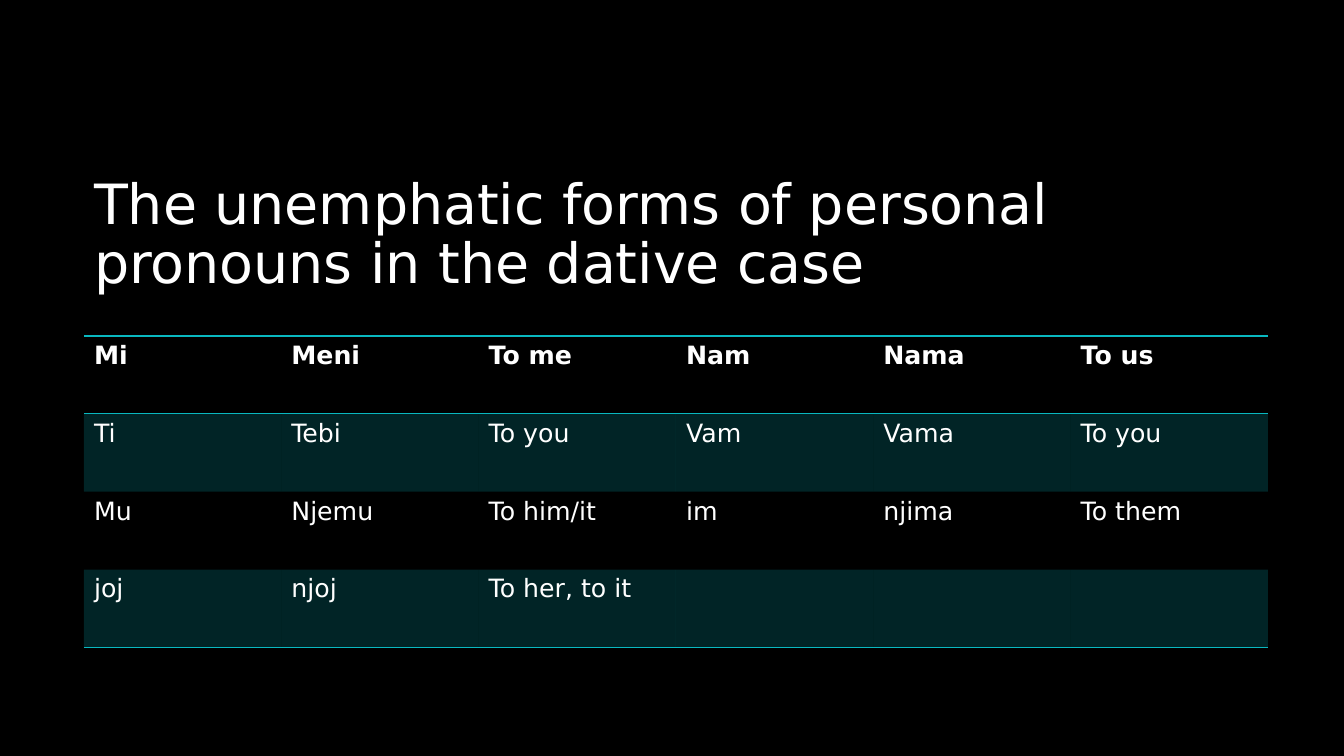
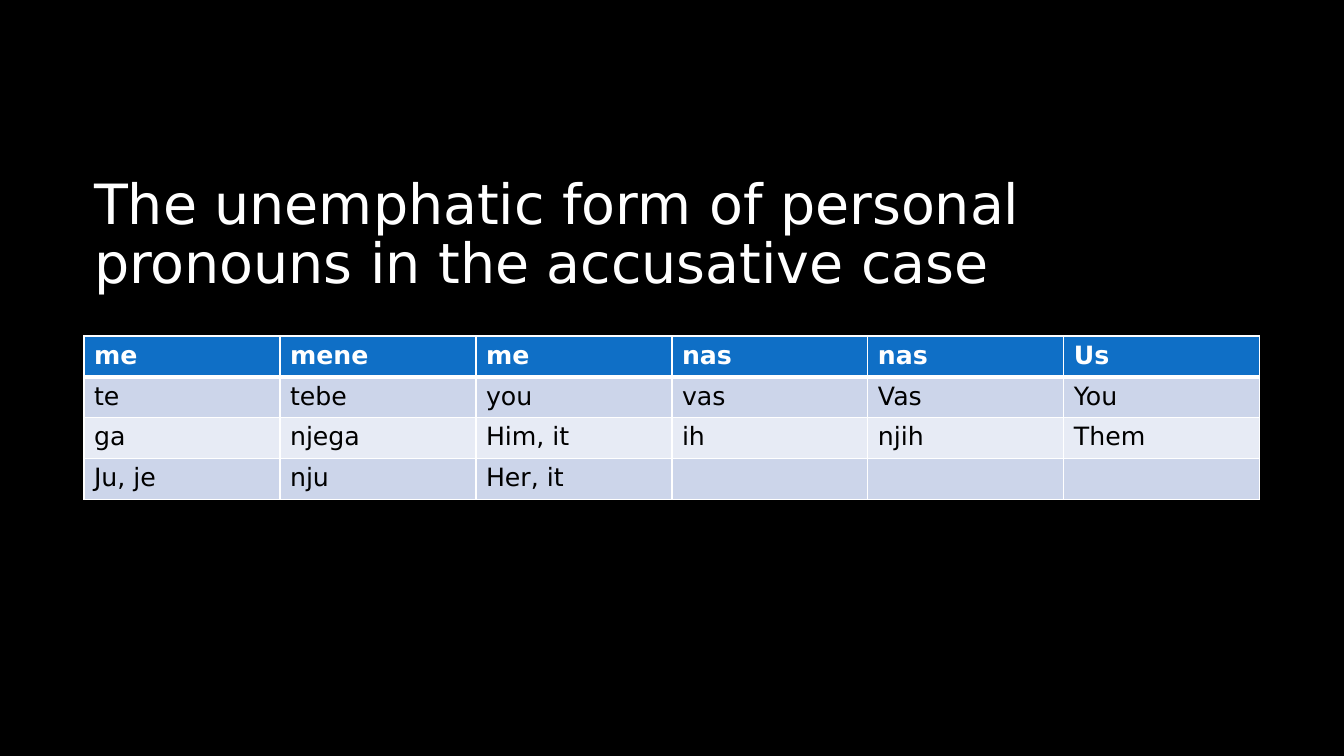
import pptx
import pptx.dml.color
import pptx.enum.text
import pptx.util
import lxml.etree
from pptx.oxml.ns import qn

FONT = "DejaVu Sans"
BLACK, WHITE, TEAL = "000000", "FFFFFF", "09B8C0"
BLUE, BAND_DARK, BAND_LIGHT = "0F6FC6", "CCD5EA", "E7EBF5"
NO_STYLE = "{2D5ABB26-0587-4C30-8999-92F81FD0307C}"
LEFT = 1 / 16  # shared left margin, as a share of the width


def rgb(value):
    return pptx.dml.color.RGBColor.from_string(value)


def paint(fill, color, alpha=100):
    """Solid fill with opacity in percent; no colour means no fill."""
    if color is None:
        fill.background()
        return
    fill.solid()
    fill.fore_color.rgb = rgb(color)


class Deck:
    def __init__(self):
        self.prs = pptx.Presentation()
        self.prs.slide_width = pptx.util.Inches(13.33)
        self.prs.slide_height = pptx.util.Inches(7.5)
        paint(self.prs.slide_master.background.fill, BLACK)
        self.s = None

    def box(self, x, y, w, h):
        """Turn shares of the slide into lengths."""
        width, height = self.prs.slide_width, self.prs.slide_height
        return [int(v) for v in (x * width, y * height, w * width, h * height)]

    def style(self, p, size, color, bold=False):
        p.font.name = FONT
        p.font.size = pptx.util.Pt(size)
        p.font.bold = bold
        p.font.color.rgb = rgb(color)

    def slide(self, title):
        self.s = self.prs.slides.add_slide(self.prs.slide_layouts[5])
        sp = self.s.shapes.title
        sp.left, sp.top, sp.width, sp.height = self.box(LEFT, 2 / 9, 0.75, 0.18)
        tf = sp.text_frame
        tf.text = title
        tf.word_wrap = True
        tf.auto_size = pptx.enum.text.MSO_AUTO_SIZE.NONE
        tf.vertical_anchor = pptx.enum.text.MSO_ANCHOR.MIDDLE
        p = tf.paragraphs[0]
        p.alignment = pptx.enum.text.PP_ALIGN.LEFT
        p.line_spacing = 0.9
        self.style(p, 39.6, WHITE)

    def borders(self, cell, color, widths):
        """Draw the sides named in widths (L, R, T, B), given in points."""
        tc_pr = cell._tc.get_or_add_tcPr()
        sides = [side for side in "LRTB" if side in widths]
        for i, side in enumerate(sides):
            ln = lxml.etree.Element(qn("a:ln" + side))
            ln.set("w", str(pptx.util.Pt(widths[side])))
            fill = lxml.etree.SubElement(ln, qn("a:solidFill"))
            lxml.etree.SubElement(fill, qn("a:srgbClr")).set("val", color)
            tc_pr.insert(i, ln)

    def table(self, rows, width, row_height, fills, text_color, line_color,
              row_borders, alpha=100):
        """One fill and one set of borders per row; the first row is bold."""
        frame = self.s.shapes.add_table(
            len(rows), len(rows[0]),
            *self.box(LEFT, 4 / 9, width, row_height * len(rows)))
        table = frame.table
        table.first_row = table.horz_banding = False
        table._tbl.tblPr.find(qn("a:tableStyleId")).text = NO_STYLE
        for r, (texts, fill, widths) in enumerate(zip(rows, fills, row_borders)):
            for c, text in enumerate(texts):
                cell = table.cell(r, c)
                cell.text = text
                self.style(cell.text_frame.paragraphs[0], 18,
                           text_color if r else WHITE, bold=r == 0)
                paint(cell.fill, fill)
                if fill and alpha < 100:
                    clr = cell._tc.tcPr.find(".//" + qn("a:srgbClr"))
                    lxml.etree.SubElement(clr, qn("a:alpha")).set(
                        "val", str(alpha * 1000))
                self.borders(cell, line_color, widths)


def main():
    deck = Deck()

    # Dative: translucent bands between teal rules
    deck.slide("The unemphatic forms of personal pronouns in the dative case")
    deck.table(
        [["Mi", "Meni", "To me", "Nam", "Nama", "To us"],
         ["Ti", "Tebi", "To you", "Vam", "Vama", "To you"],
         ["Mu", "Njemu", "To him/it", "im", "njima", "To them"],
         ["joj", "njoj", "To her, to it", "", "", ""]],
        width=0.881, row_height=0.103,
        fills=[None, TEAL, None, TEAL], alpha=20,
        text_color=WHITE, line_color=TEAL,
        row_borders=[{"T": 1, "B": 1}, {}, {}, {"B": 1}])

    # Accusative: blue header over light bands, white grid
    deck.slide("The unemphatic form of personal pronouns in the accusative case")
    body = {"L": 1, "R": 1, "B": 1}
    deck.table(
        [["me", "mene", "me", "nas", "nas", "Us"],
         ["te", "tebe", "you", "vas", "Vas", "You"],
         ["ga", "njega", "Him, it", "ih", "njih", "Them"],
         ["Ju, je", "nju", "Her, it", "", "", ""]],
        width=0.875, row_height=0.054,
        fills=[BLUE, BAND_DARK, BAND_LIGHT, BAND_DARK],
        text_color=BLACK, line_color=WHITE,
        row_borders=[{"L": 1, "R": 1, "T": 1, "B": 3}, body, body, body])

    deck.prs.save("out.pptx")


if __name__ == "__main__":
    main()
